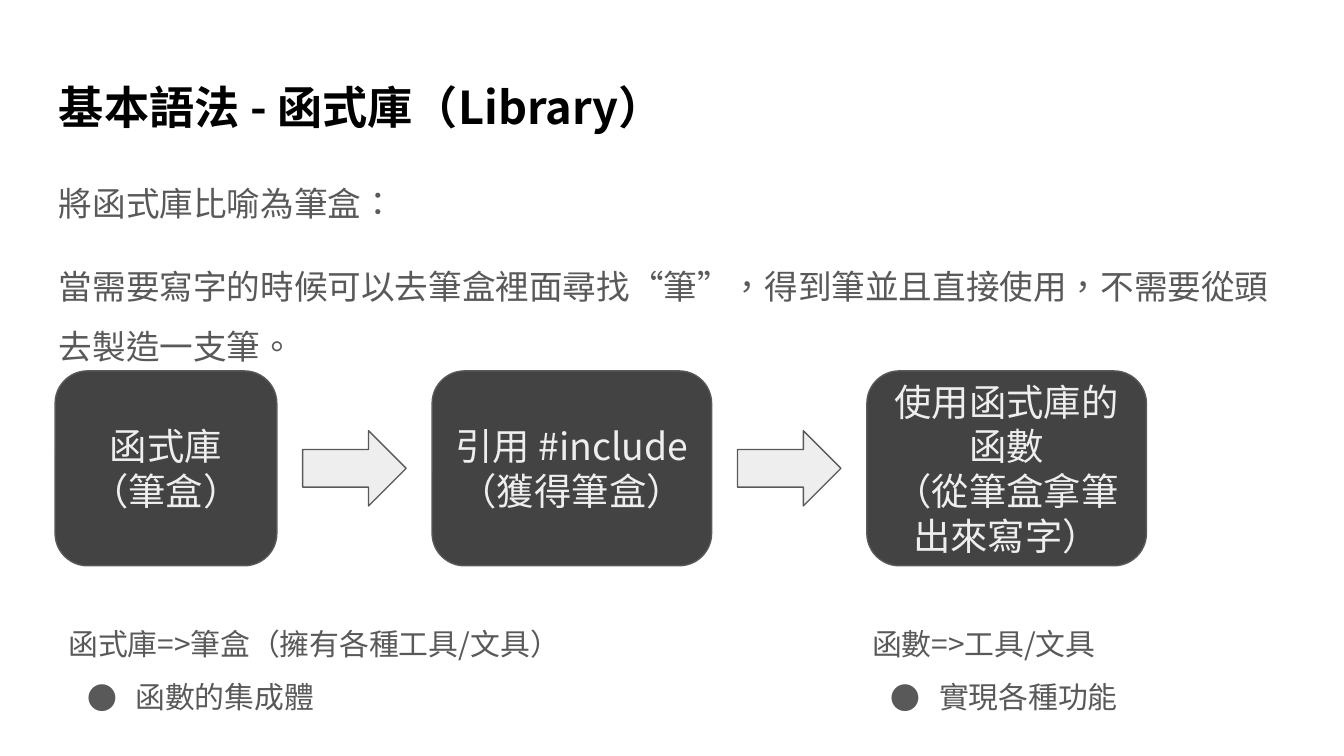
from lxml import etree
from pptx import Presentation
from pptx.dml.color import RGBColor
from pptx.enum import shapes, text
from pptx.oxml.ns import qn
from pptx.util import Inches, Pt

BLACK = RGBColor(0x00, 0x00, 0x00)
GRAY = RGBColor(0x59, 0x59, 0x59)
DARK = RGBColor(0x43, 0x43, 0x43)
LIGHT = RGBColor(0xEE, 0xEE, 0xEE)
FONT = "Noto Sans CJK TC"


def style_font(paragraph, size, color, bold=False):
    font = paragraph.font
    font.size = Pt(size)
    font.bold = bold
    font.color.rgb = color
    font.name = FONT
    defaults = paragraph._p.pPr.find(qn("a:defRPr"))
    defaults.set("lang", "zh-TW")
    east_asian = etree.Element(qn("a:ea"), typeface=FONT)
    defaults.find(qn("a:latin")).addnext(east_asian)


def add_bullet(paragraph):
    props = paragraph._p.get_or_add_pPr()
    props.set("marL", str(Inches(0.5)))
    props.set("indent", str(Inches(-0.36)))
    color = etree.SubElement(props, qn("a:buClr"))
    etree.SubElement(color, qn("a:srgbClr"), val=str(GRAY))
    etree.SubElement(props, qn("a:buFont"), typeface=FONT)
    etree.SubElement(props, qn("a:buChar"), char="●")


def fill_frame(frame, lines):
    frame.word_wrap = True
    frame.margin_left = frame.margin_right = Inches(0.1)
    frame.margin_top = frame.margin_bottom = Inches(0.1)
    frame.text = "\n".join(lines)
    return frame.paragraphs


def add_text(slide, box, lines):
    area = slide.shapes.add_textbox(*map(Inches, box))
    return fill_frame(area.text_frame, lines)


def add_block(slide, preset, box, fill):
    block = slide.shapes.add_shape(preset, *map(Inches, box))
    block.shadow.inherit = False
    block.fill.solid()
    block.fill.fore_color.rgb = fill
    block.line.color.rgb = GRAY
    block.line.width = Pt(0.75)
    return block


def add_title(slide, box, title):
    heading, = add_text(slide, box, [title])
    style_font(heading, 24.2, BLACK, bold=True)


def add_intro(slide, box, lines):
    lead, detail = add_text(slide, box, lines)
    detail.space_before = detail.space_after = Pt(12)
    for paragraph in (lead, detail):
        paragraph.line_spacing = 1.5
        style_font(paragraph, 18, GRAY)


def add_flow(slide, box, steps):
    left, top, width, height = box
    arrow_width, arrow_height = 0.77, 0.56
    step_widths = [step_width for step_width, _ in steps]
    arrows = len(steps) - 1
    gap = (width - sum(step_widths) - arrows * arrow_width) / (2 * arrows)
    x = left
    for index, (step_width, lines) in enumerate(steps):
        if index:
            arrow_top = top + (height - arrow_height) / 2
            add_block(slide, shapes.MSO_SHAPE.RIGHT_ARROW,
                      (x + gap, arrow_top, arrow_width, arrow_height), LIGHT)
            x += arrow_width + 2 * gap
        step = add_block(slide, shapes.MSO_SHAPE.ROUNDED_RECTANGLE,
                         (x, top, step_width, height), DARK)
        step.text_frame.vertical_anchor = text.MSO_ANCHOR.MIDDLE
        for paragraph in fill_frame(step.text_frame, lines):
            paragraph.alignment = text.PP_ALIGN.CENTER
            style_font(paragraph, 20, LIGHT)
        x += step_width


def add_note(slide, box, lines):
    meaning, point = add_text(slide, box, lines)
    for paragraph in (meaning, point):
        paragraph.line_spacing = 1.5
    add_bullet(point)
    for paragraph in (meaning, point):
        style_font(paragraph, 16, GRAY)


def main():
    deck = Presentation()
    deck.slide_width, deck.slide_height = Inches(10), Inches(10 * 9 / 16)
    slide = deck.slides.add_slide(deck.slide_layouts[6])
    add_title(slide, (0.34, 0.49, 9.32, 0.63), "基本語法 - 函式庫（Library）")
    add_flow(slide, (0.41, 2.76, 8.12, 1.45), [
        (1.65, ["函式庫", "（筆盒）"]),
        (2.08, ["引用 #include", "（獲得筆盒）"]),
        (2.08, ["使用函式庫的函數", "（從筆盒拿筆出來寫字）"]),
    ])
    add_note(slide, (0.41, 4.42, 4.14, 0.73),
             ["函式庫=>筆盒（擁有各種工具/文具）", "函數的集成體"])
    add_note(slide, (6.39, 4.42, 2.14, 0.73),
             ["函數=>工具/文具", "實現各種功能"])
    add_intro(slide, (0.34, 1.11, 9.32, 1.76), [
        "將函式庫比喻為筆盒：",
        "當需要寫字的時候可以去筆盒裡面尋找“筆”，得到筆並且直接使用，不需要從頭去製造一支筆。",
    ])
    deck.save("out.pptx")


if __name__ == "__main__":
    main()
